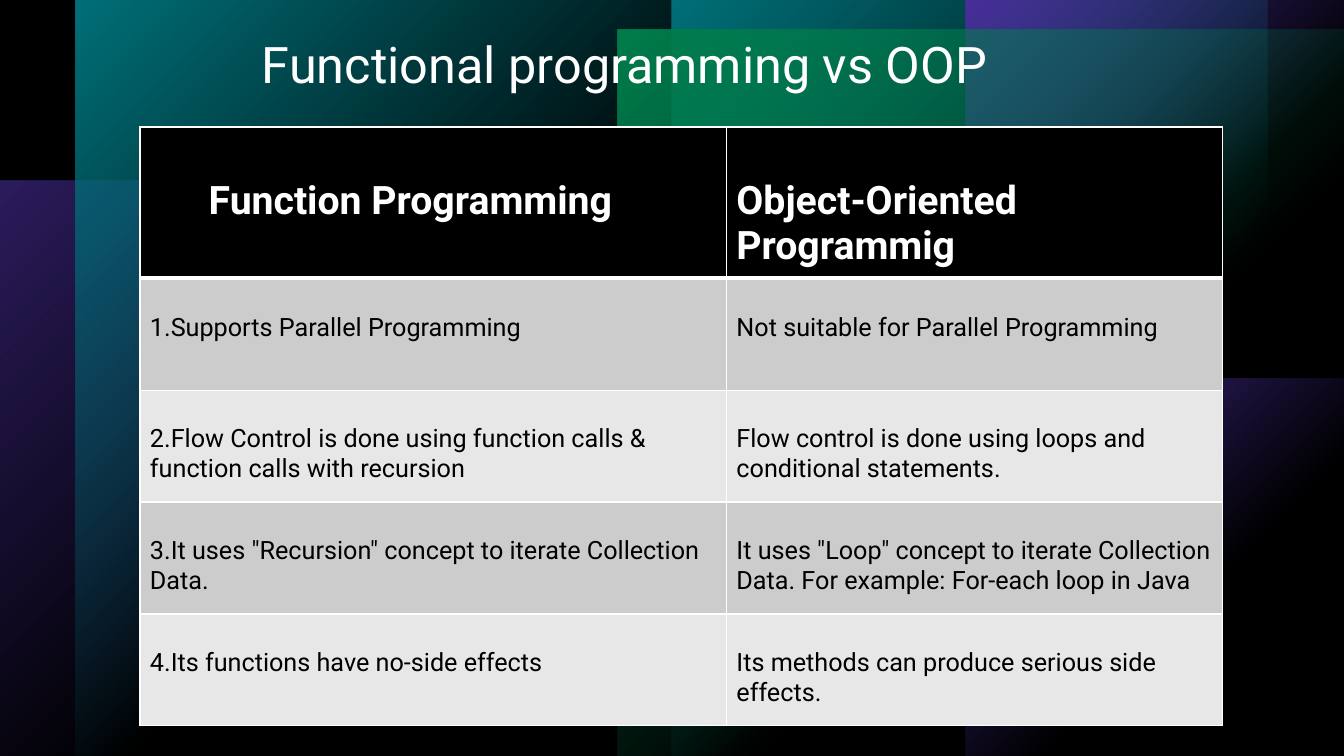
import pptx
import pptx.dml.color
import pptx.enum.shapes
import pptx.enum.text
import pptx.oxml
import pptx.oxml.ns
import pptx.util
from pptx.util import Cm

COLORS = {
    "black": "000000",
    "white": "FFFFFF",
    "purple": "794DFF",
    "teal": "00BAC8",
    "green": "00D17D",
    "band_dark": "CCCCCC",
    "band_light": "E7E7E7",
}

# left, top, width, height in cm, colour, opacity in percent
GLOW_PANELS = [
    (0, 4.55, 14.5, 14.5, "purple", 60),
    (16.92, 0, 15.01, 19.05, "teal", 100),
    (1.91, 0, 15.01, 19.05, "teal", 100),
    (24.33, 9.53, 9.53, 9.53, "purple", 100),
    (24.33, 0, 9.53, 9.53, "purple", 100),
    (15.56, 0.75, 18.3, 18.3, "green", 100),
]

COMPARISON = [
    ("Function Programming", "Object-Oriented Programmig"),
    ("1.Supports Parallel Programming", "Not suitable for Parallel Programming"),
    ("2.Flow Control is done using function calls & function calls with recursion",
     "Flow control is done using loops and conditional statements."),
    ("3.It uses \"Recursion\" concept to iterate Collection Data.",
     "It uses \"Loop\" concept to iterate Collection Data. For example: For-each loop in Java"),
    ("4.Its functions have no-side effects",
     "Its methods can produce serious side effects."),
]


def rgb(name):
    return pptx.dml.color.RGBColor.from_string(COLORS[name])


def drawing_element(xml):
    """Build a DrawingML element from a fragment without a namespace declaration."""
    head, tail = xml.split(">", 1)
    return pptx.oxml.parse_xml(f"{head} {pptx.oxml.ns.nsdecls('a')}>{tail}")


def color_xml(name, opacity):
    return (f'<a:srgbClr val="{COLORS[name]}">'
            f'<a:alpha val="{opacity * 1000}"/></a:srgbClr>')


class SlideBuilder:
    font = "Roboto"

    def __init__(self, slide):
        self.slide = slide

    def background(self, color):
        fill = self.slide.background.fill
        fill.solid()
        fill.fore_color.rgb = rgb(color)

    def panel(self, left, top, width, height, fill_xml):
        panel = self.slide.shapes.add_shape(
            pptx.enum.shapes.MSO_SHAPE.RECTANGLE,
            Cm(left), Cm(top), Cm(width), Cm(height))
        panel.shadow.inherit = False
        panel.line.fill.background()
        panel.fill.background()
        properties = panel.element.spPr
        empty_fill = properties.find(pptx.oxml.ns.qn("a:noFill"))
        properties.replace(empty_fill, drawing_element(fill_xml))

    def glow(self, left, top, width, height, color, opacity):
        """Panel that fades out diagonally from its top left corner."""
        self.panel(left, top, width, height,
                   '<a:gradFill rotWithShape="1"><a:gsLst>'
                   f'<a:gs pos="0">{color_xml(color, opacity)}</a:gs>'
                   f'<a:gs pos="60000">{color_xml(color, 0)}</a:gs>'
                   '</a:gsLst><a:lin ang="2700000" scaled="0"/></a:gradFill>')

    def veil(self, left, top, width, height, color, opacity):
        self.panel(left, top, width, height,
                   f'<a:solidFill>{color_xml(color, opacity)}</a:solidFill>')

    def set_text(self, frame, text, size, color, bold=False):
        frame.word_wrap = True
        frame.text = text
        font = frame.paragraphs[0].runs[0].font
        font.name = self.font
        font.size = pptx.util.Pt(size)
        font.bold = bold
        font.color.rgb = rgb(color)

    def title(self, text, left, top, width, height):
        box = self.slide.shapes.add_textbox(Cm(left), Cm(top), Cm(width), Cm(height))
        self.set_text(box.text_frame, text, 36, "white")
        box.text_frame.auto_size = pptx.enum.text.MSO_AUTO_SIZE.SHAPE_TO_FIT_TEXT

    def borders(self, cell, top, bottom):
        """White cell borders; top and bottom widths in points."""
        properties = cell._tc.get_or_add_tcPr()
        widths = {"lnL": 1, "lnR": 1, "lnT": top, "lnB": bottom}
        for position, (side, width) in enumerate(widths.items()):
            properties.insert(position, drawing_element(
                f'<a:{side} w="{pptx.util.Pt(width)}"><a:solidFill>'
                f'{color_xml("white", 100)}</a:solidFill></a:{side}>'))

    def comparison(self, rows, left, top, widths, header_height, row_height):
        heights = [header_height] + [row_height] * (len(rows) - 1)
        table = self.slide.shapes.add_table(
            len(rows), len(widths), Cm(left), Cm(top),
            Cm(sum(widths)), Cm(sum(heights))).table
        for column, width in zip(table.columns, widths):
            column.width = Cm(width)
        for r, (texts, height) in enumerate(zip(rows, heights)):
            table.rows[r].height = Cm(height)
            header = r == 0
            band = "black" if header else "band_dark" if r % 2 else "band_light"
            for c, text in enumerate(texts):
                cell = table.cell(r, c)
                cell.fill.solid()
                cell.fill.fore_color.rgb = rgb(band)
                cell.margin_top = Cm(1.28 if header else 0.87)
                cell.margin_left = Cm(1.73 if header and c == 0 else 0.25)
                self.set_text(cell.text_frame, text, 28 if header else 18,
                              "white" if header else "black", header)
                self.borders(cell, 3 if r == 1 else 1, 3 if header else 1)


def main():
    deck = pptx.Presentation()
    deck.slide_width, deck.slide_height = Cm(33.87), Cm(19.05)
    builder = SlideBuilder(deck.slides.add_slide(deck.slide_layouts[6]))
    builder.background("black")
    for glow in GLOW_PANELS:
        builder.glow(*glow)
    builder.veil(0, 0, 33.87, 19.05, "black", 40)
    builder.title("Functional programming vs OOP", 6.35, 0.71, 19.96, 1.8)
    builder.comparison(COMPARISON, 3.53, 3.2, (14.78, 12.5), 3.81, 2.82)
    deck.save("out.pptx")


if __name__ == "__main__":
    main()
